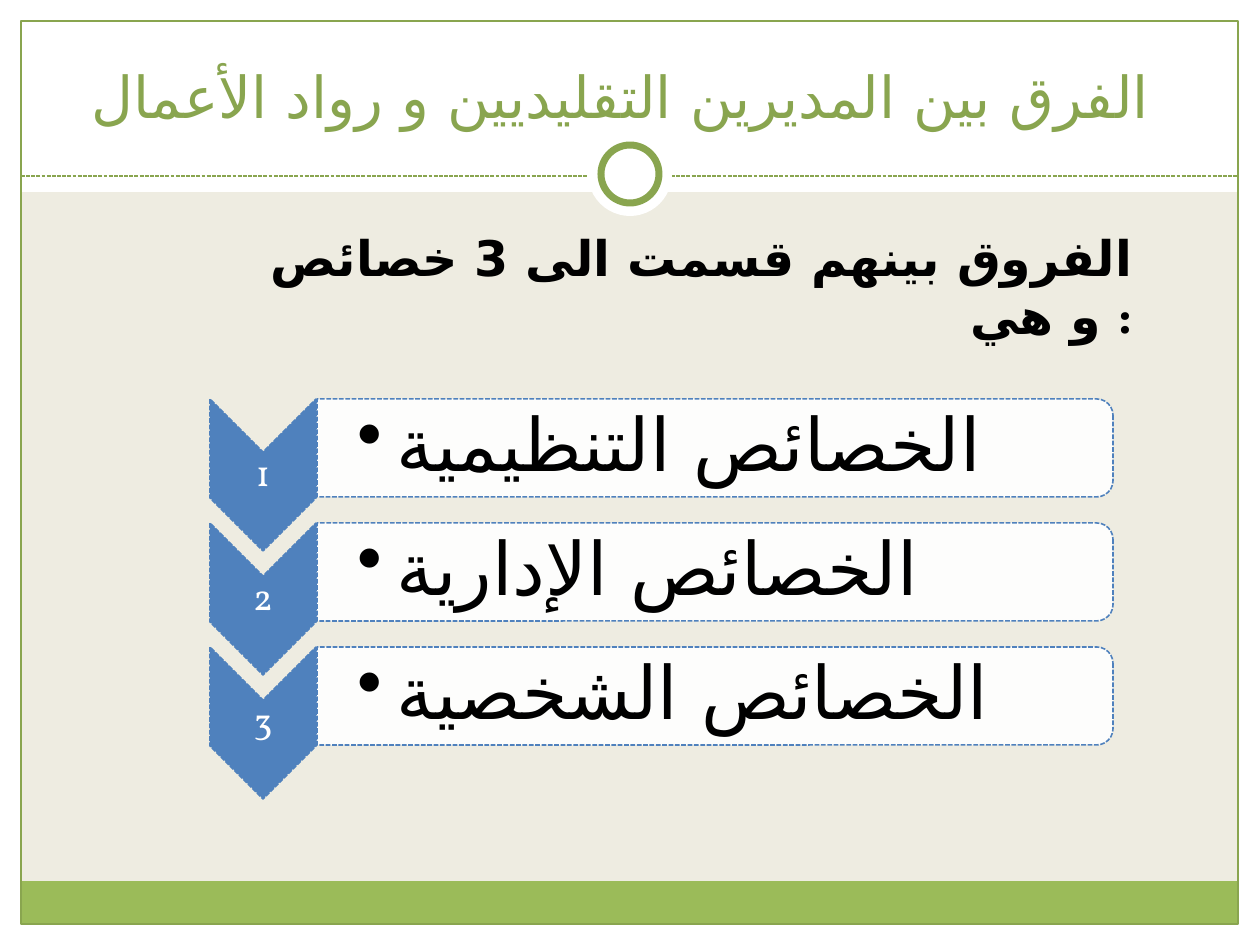
"""Build the slide comparing traditional managers and entrepreneurs."""
from dataclasses import dataclass
from typing import Optional

from lxml import etree
from pptx import Presentation
from pptx import util as u
from pptx.dml.color import RGBColor
from pptx.enum import dml, shapes, text
from pptx.oxml.ns import qn

PX_PER_INCH = 126


@dataclass(frozen=True)
class Theme:
    font: str = "Vollkorn"
    arabic_font: str = "DejaVu Sans"
    paper: str = "EEECE1"
    white: str = "FFFFFF"
    black: str = "000000"
    green: str = "9BBB59"
    olive: str = "89A54F"
    blue: str = "4F81BD"
    title_size: int = 33
    lead_size: int = 28
    item_size: int = 42
    number_size: int = 21
    thin: float = 0.75
    dashed: float = 0.9
    ring: float = 4


@dataclass(frozen=True)
class Frame:
    left: int
    top: int
    width: int
    height: int

    def down(self, distance: int) -> "Frame":
        return Frame(self.left, self.top + distance, self.width, self.height)


@dataclass(frozen=True)
class Figure:
    kind: shapes.MSO_SHAPE
    frame: Frame
    fill: Optional[str] = None
    line: Optional[str] = None
    weight: float = 0
    dashed: bool = False
    rotation: int = 0
    opacity: int = 100


@dataclass(frozen=True)
class Label:
    frame: Frame
    words: str
    size: int
    color: str
    align: text.PP_ALIGN = text.PP_ALIGN.LEFT
    anchor: text.MSO_ANCHOR = text.MSO_ANCHOR.MIDDLE
    insets: tuple[int, int, int, int] = (13, 6, 13, 6)
    bold: bool = False
    spacing: float = 1.0
    hanging: int = 0
    grows: bool = False


THEME = Theme()
RECT, OVAL = shapes.MSO_SHAPE.RECTANGLE, shapes.MSO_SHAPE.OVAL
CHEVRON = shapes.MSO_SHAPE.CHEVRON
PANEL = shapes.MSO_SHAPE.ROUND_2_SAME_RECTANGLE
CENTER = text.PP_ALIGN.CENTER

BACKDROP = (
    Figure(RECT, Frame(0, 924, 1260, 21), THEME.white),
    Figure(RECT, Frame(0, 0, 1260, 192), THEME.white),
    Figure(RECT, Frame(0, 0, 21, 945), THEME.white),
    Figure(RECT, Frame(1239, 0, 21, 945), THEME.white),
    Figure(RECT, Frame(21, 881, 1217, 43), THEME.green),
    Figure(RECT, Frame(21, 21, 1217, 903), None, THEME.olive, THEME.thin),
)
MEDALLION = (
    Figure(OVAL, Frame(588, 132, 84, 84), THEME.white),
    Figure(OVAL, Frame(601, 145, 58, 58), THEME.white, THEME.olive, THEME.ring),
)
TITLE = Label(Frame(42, 31, 1176, 105), "الفرق بين المديرين التقليديين و رواد الأعمال ",
              THEME.title_size, THEME.olive, CENTER, text.MSO_ANCHOR.BOTTOM)
LEAD = Label(Frame(221, 221, 924, 72), "الفروق بينهم قسمت الى 3 خصائص و هي :",
             THEME.lead_size, THEME.black, text.PP_ALIGN.RIGHT,
             text.MSO_ANCHOR.TOP, bold=True, grows=True)
ITEMS = ("الخصائص التنظيمية", "الخصائص الإدارية", "الخصائص الشخصية")
ROW_PITCH = 124


def px(length: int) -> u.Emu:
    """Turn px into EMU."""
    return u.Emu(round(length * 914400 / PX_PER_INCH))


def place(frame: Frame) -> tuple[u.Emu, ...]:
    """Give a frame as EMU lengths."""
    return px(frame.left), px(frame.top), px(frame.width), px(frame.height)


def style_line(line, color: str, weight: float, dashed: bool) -> None:
    """Set the colour, weight and dash of a line."""
    line.color.rgb = RGBColor.from_string(color)
    line.width = u.Pt(weight)
    if dashed:
        line.dash_style = dml.MSO_LINE.SQUARE_DOT


def draw_figure(page, figure: Figure) -> None:
    """Draw one preset shape."""
    shape = page.shapes.add_shape(figure.kind, *place(figure.frame))
    shape.shadow.inherit = False
    shape.rotation = figure.rotation
    if figure.fill:
        shape.fill.solid()
        shape.fill.fore_color.rgb = RGBColor.from_string(figure.fill)
        if figure.opacity < 100:
            color = shape.fill._xPr.find(qn("a:solidFill"))[0]
            etree.SubElement(color, qn("a:alpha"), val=str(figure.opacity * 1000))
    else:
        shape.fill.background()
    if figure.line:
        style_line(shape.line, figure.line, figure.weight, figure.dashed)
    else:
        shape.line.fill.background()


def draw_divider(page, left: int, right: int, y: int) -> None:
    """Draw the dashed rule under the title."""
    rule = page.shapes.add_connector(
        shapes.MSO_CONNECTOR.STRAIGHT, px(left), px(y), px(right), px(y))
    style_line(rule.line, THEME.olive, THEME.thin, True)
    etree.SubElement(rule._element.spPr, qn("a:effectLst"))


def draw_label(page, label: Label) -> None:
    """Draw one text box."""
    box = page.shapes.add_textbox(*place(label.frame))
    frame = box.text_frame
    frame.word_wrap = True
    frame.vertical_anchor = label.anchor
    if label.grows:
        frame.auto_size = text.MSO_AUTO_SIZE.SHAPE_TO_FIT_TEXT
    (frame.margin_left, frame.margin_top,
     frame.margin_right, frame.margin_bottom) = map(px, label.insets)
    para = frame.paragraphs[0]
    para.text = label.words
    para.alignment = label.align
    para.line_spacing = label.spacing
    if label.hanging:
        props = para._p.get_or_add_pPr()
        props.set("marL", str(px(label.hanging)))
        props.set("indent", str(-px(label.hanging)))
        etree.SubElement(props, qn("a:buChar"), char="•")
    for span in para.runs:
        span.font.name = THEME.font
        span.font.size = u.Pt(label.size)
        span.font.bold = label.bold
        span.font.color.rgb = RGBColor.from_string(label.color)
        etree.SubElement(span._r.get_or_add_rPr(), qn("a:cs"), typeface=THEME.arabic_font)


def draw_item(page, index: int, words: str) -> None:
    """Draw one numbered chevron with its panel."""
    drop = index * ROW_PITCH
    draw_figure(page, Figure(CHEVRON, Frame(187, 422, 152, 106).down(drop), THEME.blue,
                             THEME.blue, THEME.dashed, True, 90))
    draw_label(page, Label(Frame(210, 452, 106, 45).down(drop), str(index + 1),
                           THEME.number_size, THEME.white, CENTER,
                           insets=(1, 1, 1, 1), spacing=0.9))
    draw_figure(page, Figure(PANEL, Frame(666, 50, 98, 796).down(drop), THEME.white,
                             THEME.blue, THEME.dashed, True, 90, 90))
    draw_label(page, Label(Frame(316, 403, 793, 89).down(drop), words,
                           THEME.item_size, THEME.black, insets=(42, 4, 4, 4),
                           spacing=0.9, hanging=39))


def main() -> None:
    """Build and save the deck."""
    deck = Presentation()
    deck.slide_width, deck.slide_height = px(1260), px(945)
    page = deck.slides.add_slide(deck.slide_layouts[6])
    page.background.fill.solid()
    page.background.fill.fore_color.rgb = RGBColor.from_string(THEME.paper)
    for figure in BACKDROP:
        draw_figure(page, figure)
    draw_divider(page, 21, 1239, 176)
    for figure in MEDALLION:
        draw_figure(page, figure)
    draw_label(page, TITLE)
    for index, words in enumerate(ITEMS):
        draw_item(page, index, words)
    draw_label(page, LEAD)
    deck.save("out.pptx")


if __name__ == "__main__":
    main()
